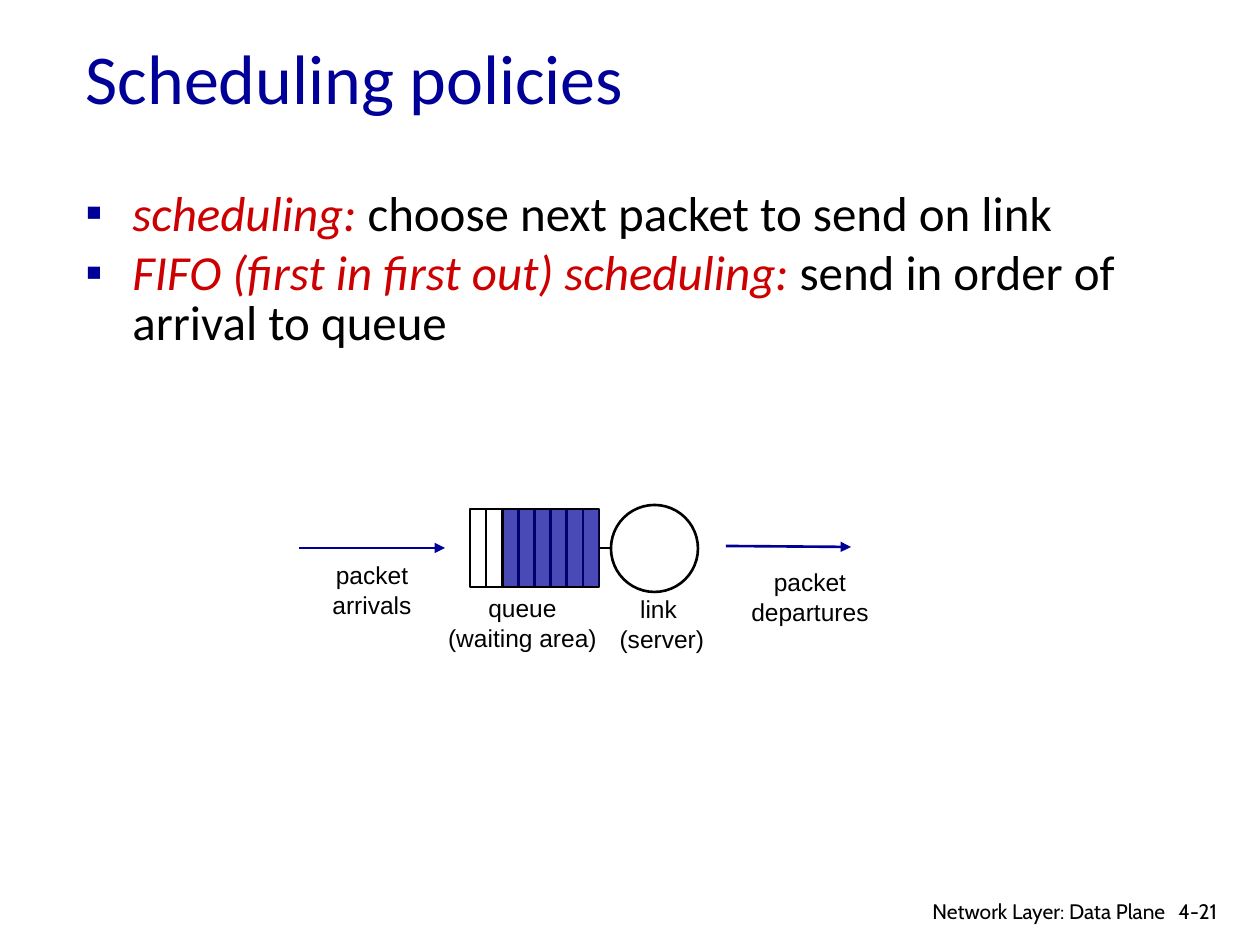
import pptx
import pptx.util
import pptx.dml.color
import pptx.enum.shapes
import pptx.enum.text
import pptx.oxml
import pptx.oxml.ns
from lxml import etree

PX = 914400 / 126
COLORS = {"navy": "000099", "red": "CC0000", "black": "000000"}
ALIGN = pptx.enum.text.PP_ALIGN
SHAPE = pptx.enum.shapes.MSO_SHAPE
qn = pptx.oxml.ns.qn


def px(*values):
    return [pptx.util.Emu(round(value * PX)) for value in values]


def style(font, name, size, color):
    font.name = name
    font.size = pptx.util.Pt(size)
    font.color.rgb = pptx.dml.color.RGBColor.from_string(COLORS[color])


deck = pptx.Presentation()
deck.slide_width, deck.slide_height = px(1260, 945)
page = deck.slides.add_slide(deck.slide_layouts[5])

# Title
title = page.shapes.title
title.left, title.top, title.width, title.height = px(73, -2, 1071, 157)
title.text_frame.text = "Scheduling policies"
title.text_frame.vertical_anchor = pptx.enum.text.MSO_ANCHOR.MIDDLE
title.text_frame.paragraphs[0].alignment = ALIGN.LEFT
style(title.text_frame.paragraphs[0].runs[0].font, "Calibri", 40, "navy")

# Bulleted definitions
definitions = [
    ("scheduling: ", "choose next packet to send on link"),
    ("FIFO (first in first out) scheduling: ", "send in order of arrival to queue"),
]
body = page.shapes.add_textbox(*px(73, 185, 1139, 494))
body.text_frame.word_wrap = True
for index, (term, meaning) in enumerate(definitions):
    para = body.text_frame.paragraphs[0] if index == 0 else body.text_frame.add_paragraph()
    para.line_spacing = 0.85
    para.space_before = pptx.util.Pt(5.6 if index else 0)
    properties = para._p.get_or_add_pPr()
    indent = px(47)[0]
    properties.set("marL", str(indent))
    properties.set("indent", str(-indent))
    bullet_color = etree.SubElement(properties, qn("a:buClr"))
    etree.SubElement(bullet_color, qn("a:srgbClr"), val=COLORS["navy"])
    etree.SubElement(properties, qn("a:buFont"), typeface="Arial")
    etree.SubElement(properties, qn("a:buChar"), char="▪")
    for text, color in ((term, "red"), (meaning, "black")):
        span = para.add_run()
        span.text = text
        style(span.font, "Calibri", 28, color)
        span.font.italic = color == "red"

# Queue: frame, slot dividers and waiting packets; then the server circle
queue = page.shapes.add_group_shape()
left, top, width, height = 470, 509, 129, 78
slots = 8
frame = queue.shapes.add_shape(SHAPE.RECTANGLE, *px(left, top, width, height))
server = page.shapes.add_shape(SHAPE.OVAL, *px(611, 505, 87, 87))
for outline in (frame, server):
    outline.shadow.inherit = False
    outline.fill.background()
    outline.line.color.rgb = pptx.dml.color.RGBColor.from_string(COLORS["black"])
    outline.line.width = pptx.util.Pt(1.5)

# Lines: parent, ends, colour, arrowhead
lines = [(page, (599, 548, 611, 548), "black", False),
         (page, (299, 548, 445, 548), "navy", True),
         (page, (726, 546, 851, 547), "navy", True)]
for slot in range(1, slots):
    x = left + width * slot / slots
    lines.append((queue, (x, top + 1, x, top + height), "black", False))
for parent, ends, color, arrow in lines:
    line = parent.shapes.add_connector(pptx.enum.shapes.MSO_CONNECTOR.STRAIGHT, *px(*ends))
    line.line.color.rgb = pptx.dml.color.RGBColor.from_string(COLORS[color])
    line.line.width = pptx.util.Pt(1.5)
    if arrow:
        etree.SubElement(line.line._get_or_add_ln(), qn("a:tailEnd"), type="triangle")
    etree.SubElement(line._element.spPr, qn("a:effectLst"))
    if ends[0] == left + width:
        line.begin_connect(frame, 3)

packets = queue.shapes.add_shape(SHAPE.RECTANGLE, *px(504, 510, 95, 76))
packets.shadow.inherit = False
packets.fill.solid()
packets.fill.fore_color.rgb = pptx.dml.color.RGBColor.from_string(COLORS["navy"])
fill_color = packets._element.spPr.find(qn("a:solidFill")).find(qn("a:srgbClr"))
etree.SubElement(fill_color, qn("a:alpha"), val="71000")
packets.line.fill.background()

# Diagram labels and footer
labels = [
    ("queue\n(waiting area)", (435, 587, 175, 72), ALIGN.CENTER, "Arial", 14),
    ("packet\narrivals", (319, 554, 106, 72), ALIGN.CENTER, "Arial", 14),
    ("packet\ndepartures", (738, 561, 144, 72), ALIGN.CENTER, "Arial", 14),
    ("link\n (server)", (600, 588, 117, 72), ALIGN.CENTER, "Arial", 14),
    ("4-21", (1166, 892, 77, 38), ALIGN.LEFT, "Cabin", 12),
    ("Network Layer: Data Plane", (878, 892, 300, 33), ALIGN.RIGHT, "Cabin", 12),
]
for text, place, alignment, font, size in labels:
    box = page.shapes.add_textbox(*px(*place))
    box.text_frame.word_wrap = font == "Cabin"
    box.text_frame.text = text
    for para in box.text_frame.paragraphs:
        para.alignment = alignment
        style(para.runs[0].font, font, size, "black")

deck.save("out.pptx")
